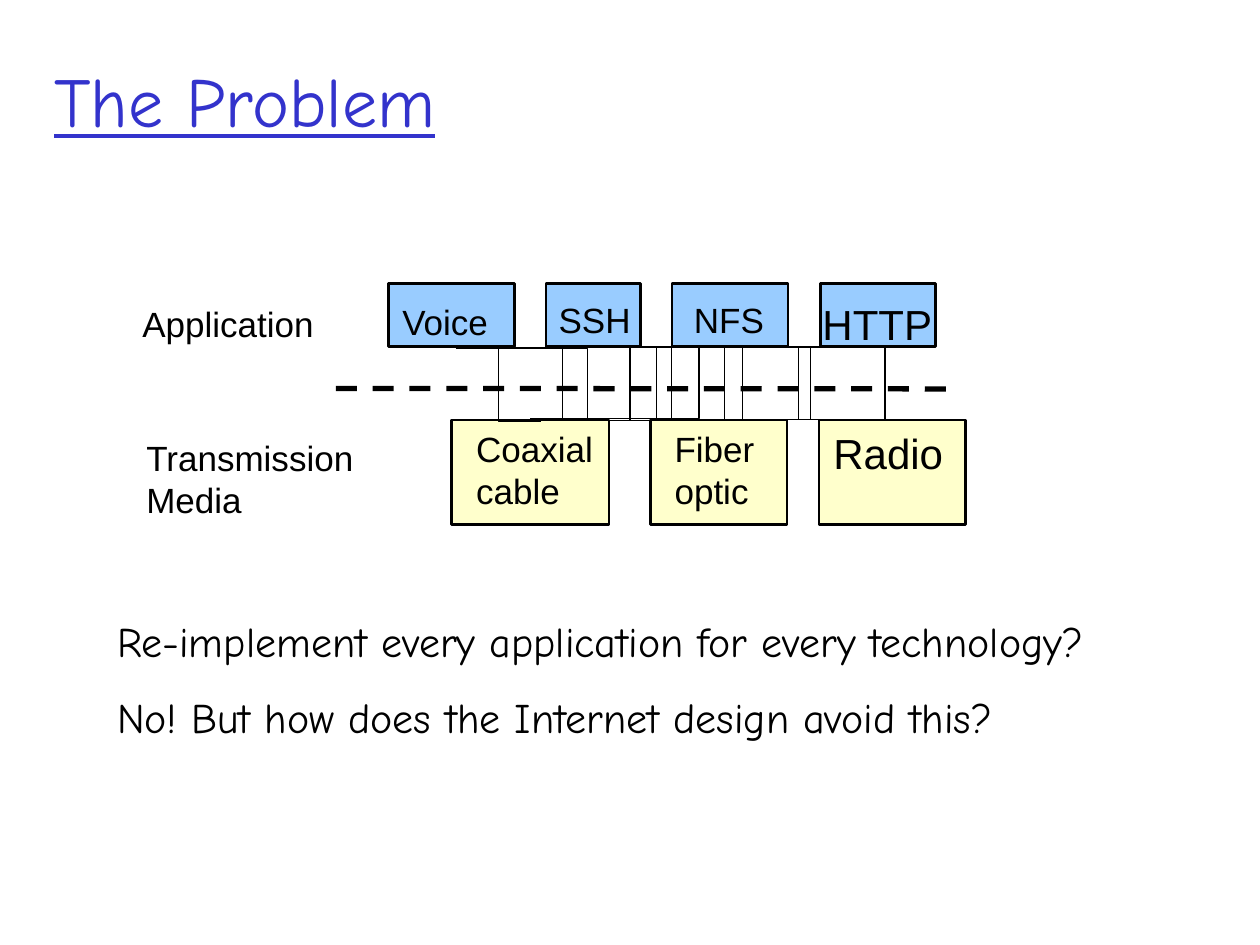
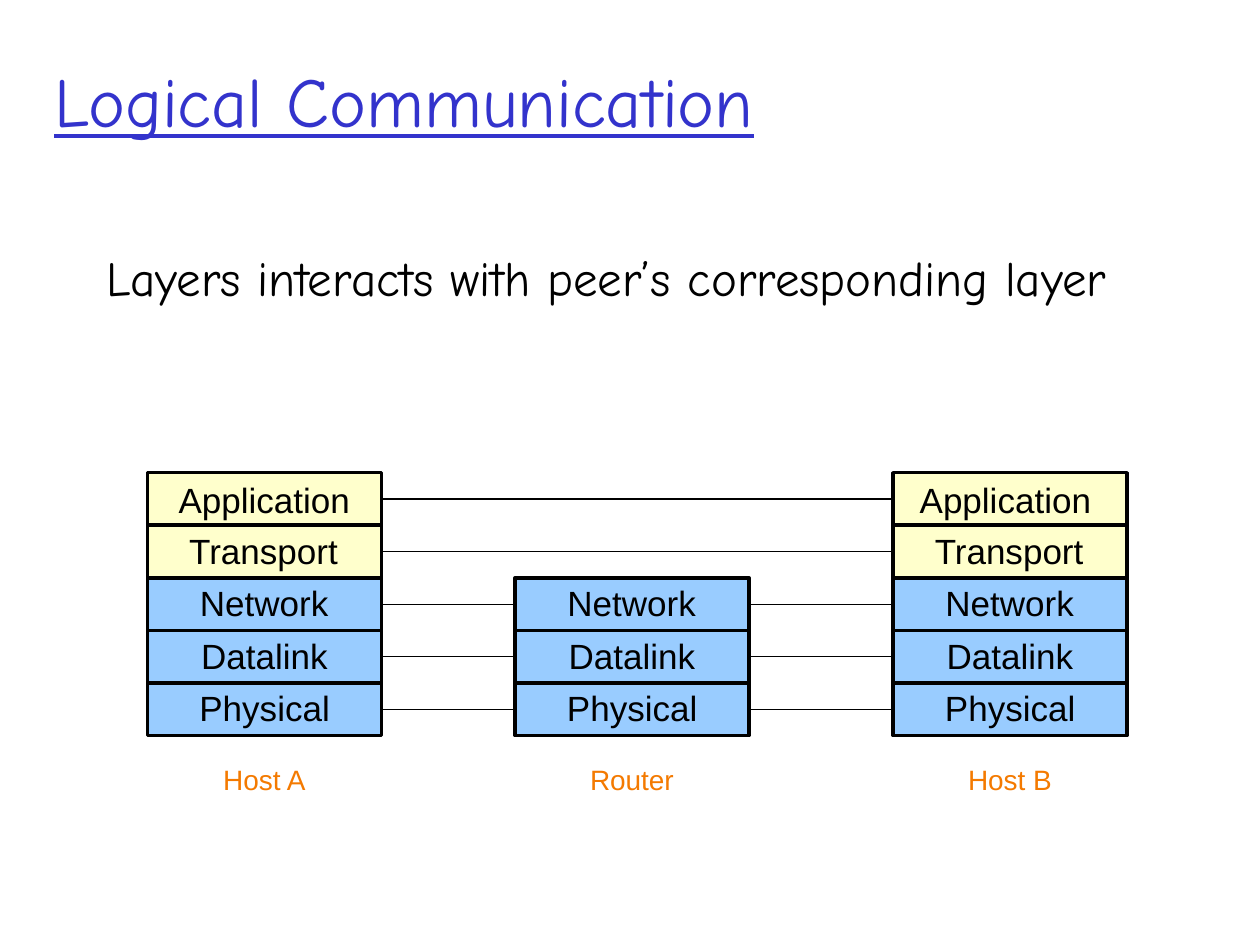
from itertools import pairwise

from lxml import etree
from pptx import Presentation
from pptx.dml.color import RGBColor
from pptx.enum import dml, shapes, text
from pptx.oxml import ns
from pptx.util import Cm, Pt

BLACK = RGBColor(0x00, 0x00, 0x00)
TITLE_BLUE = RGBColor(0x33, 0x33, 0xCC)
SKY = RGBColor(0x99, 0xCC, 0xFF)
CREAM = RGBColor(0xFF, 0xFF, 0xCC)
ORANGE = RGBColor(0xF4, 0x7A, 0x00)
HAND_FONT = "Comic Neue"
LABEL_FONT = "Arial"

QUESTIONS = [
    "Re-implement every application for every technology?",
    "No! But how does the Internet design avoid this?",
]
APP_TOP, APP_HEIGHT = 5.72, 1.27
MEDIA_TOP, MEDIA_HEIGHT = 8.47, 2.11
# name, box left, box width, text left, text top, text width, size
APPLICATIONS = [
    (["Voice"], 7.83, 2.54, 7.86, 5.93, 2.67, 20),
    (["SSH"], 11.01, 1.9, 11.01, 5.89, 2.1, 20),
    (["NFS"], 13.55, 2.34, 13.74, 5.89, 2.1, 20),
    (["HTTP"], 16.54, 2.32, 16.33, 5.89, 2.8, 24),
]
MEDIA = [
    (["Coaxial", "cable"], 9.1, 3.18, 9.35, 8.5, 3.15, 20),
    (["Fiber", "optic"], 13.12, 2.75, 13.35, 8.5, 2.2, 20),
    (["Radio"], 16.51, 2.95, 16.55, 8.5, 2.8, 24),
]
ROW_LABELS = [
    (["Application"], 2.62, 5.97, 4.05),
    (["Transmission", "Media"], 2.7, 8.68, 4.8),
]
WIRES = [
    (9.19, 7.03, 10.9, 8.5),
    (9.19, 7.03, 14.5, 8.48),
    (9.09, 7.01, 17.98, 8.46),
    (11.99, 6.99, 10.69, 8.48),
    (11.96, 6.99, 14.5, 8.48),
    (11.96, 7.01, 17.98, 8.46),
    (14.71, 6.99, 10.69, 8.48),
    (14.71, 6.99, 14.5, 8.48),
    (14.71, 7.01, 17.98, 8.46),
    (17.5, 6.99, 10.69, 8.44),
    (17.7, 7.01, 14.5, 8.46),
    (17.7, 7.01, 17.98, 8.46),
]

PEER_LINE = "Layers interacts with peer’s corresponding layer"
LAYERS = [
    ("Application", CREAM, 3.96),
    ("Transport", CREAM, 3.53),
    ("Network", SKY, 3.1),
    ("Datalink", SKY, 3.05),
    ("Physical", SKY, 3.12),
]
NODES = [
    ("Host A", 2.97, 0, 0),
    ("Router", 10.38, 2, 0),
    ("Host B", 18, 0, -0.09),
]
STACK_TOP, LAYER_HEIGHT, NODE_WIDTH = 9.53, 1.06, 4.72
TEXT_SLACK = 0.15
NAME_WIDTH = 2.6
TEXT_HEIGHTS = {16: 0.91, 20: 1.12, 24: 1.27}


def write(frame, lines, font, size, color, align=text.PP_ALIGN.LEFT, gap=0, underline=None):
    for index, line in enumerate(lines):
        para = frame.paragraphs[0] if index == 0 else frame.add_paragraph()
        para.alignment = align
        if index:
            para.space_before = Pt(gap)
        span = para.add_run()
        span.text = line
        span.font.name = font
        span.font.size = Pt(size)
        span.font.color.rgb = color
        span.font.underline = underline


def add_page(deck, title):
    page = deck.slides.add_slide(deck.slide_layouts[5])
    box = page.shapes.title
    box.left, box.top, box.width, box.height = Cm(0.84), Cm(1.02), Cm(22.4), Cm(1.96)
    frame = box.text_frame
    frame.vertical_anchor = text.MSO_ANCHOR.MIDDLE
    frame.auto_size = text.MSO_AUTO_SIZE.NONE
    write(frame, [title], HAND_FONT, 40, TITLE_BLUE, underline=True)
    return page


def add_body(page, lines, left, top, width, height, size, gap=0):
    box = page.shapes.add_textbox(Cm(left), Cm(top), Cm(width), Cm(height))
    box.text_frame.word_wrap = True
    write(box.text_frame, lines, HAND_FONT, size, BLACK, gap=gap)


def add_label(page, lines, left, top, width, size=20, color=BLACK, align=text.PP_ALIGN.LEFT):
    height = TEXT_HEIGHTS[size] + 0.84 * (len(lines) - 1)
    box = page.shapes.add_textbox(Cm(left), Cm(top), Cm(width), Cm(height))
    box.text_frame.word_wrap = False
    box.text_frame.auto_size = text.MSO_AUTO_SIZE.SHAPE_TO_FIT_TEXT
    write(box.text_frame, lines, LABEL_FONT, size, color, align)


def add_block(page, left, top, width, height, fill, line_width):
    block = page.shapes.add_shape(
        shapes.MSO_SHAPE.RECTANGLE, Cm(left), Cm(top), Cm(width), Cm(height))
    block.shadow.inherit = False
    block.fill.solid()
    block.fill.fore_color.rgb = fill
    block.line.color.rgb = BLACK
    block.line.width = Pt(line_width)


def add_wire(page, x1, y1, x2, y2, kind=shapes.MSO_CONNECTOR.ELBOW, width=0.75):
    wire = page.shapes.add_connector(kind, Cm(x1), Cm(y1), Cm(x2), Cm(y2))
    wire.line.color.rgb = BLACK
    wire.line.width = Pt(width)
    etree.SubElement(wire._element.spPr, ns.qn("a:effectLst"))
    return wire


def build_problem(deck):
    page = add_page(deck, "The Problem")
    add_body(page, QUESTIONS, 2.11, 12.28, 22.02, 4.83, 24, gap=15)
    rows = [(APPLICATIONS, APP_TOP, APP_HEIGHT, SKY), (MEDIA, MEDIA_TOP, MEDIA_HEIGHT, CREAM)]
    for items, top, height, fill in rows:
        for lines, left, width, text_left, text_top, text_width, size in items:
            add_block(page, left, top, width, height, fill, 1.5)
            add_label(page, lines, text_left, text_top, text_width, size)
    border = add_wire(page, 6.77, 7.83, 19.25, 7.84, shapes.MSO_CONNECTOR.STRAIGHT, 3)
    border.line.dash_style = dml.MSO_LINE.DASH
    for label in ROW_LABELS:
        add_label(page, *label)
    for wire in WIRES:
        add_wire(page, *wire)


def build_communication(deck):
    page = add_page(deck, "Logical Communication")
    add_body(page, [PEER_LINE], 1.9, 4.87, 22.43, 2.11, 28)
    for index, (layer, fill, text_width) in enumerate(LAYERS):
        top = STACK_TOP + index * LAYER_HEIGHT
        members = [node for node in NODES if node[2] <= index]
        for _, left, _, nudge in members:
            add_block(page, left, top, NODE_WIDTH, LAYER_HEIGHT, fill, 2)
            text_left = left + (NODE_WIDTH - text_width) / 2
            text_top = top - 0.05
            if index == 0:
                text_left, text_top = text_left + nudge, top
            add_label(page, [layer], text_left, text_top, text_width + TEXT_SLACK)
        middle = top + LAYER_HEIGHT / 2
        for near, far in pairwise(members):
            add_wire(page, near[1] + NODE_WIDTH, middle, far[1], middle)
    for name, left, _, _ in NODES:
        add_label(page, [name], left + (NODE_WIDTH - NAME_WIDTH) / 2, 15.24, NAME_WIDTH, 16,
                  ORANGE, text.PP_ALIGN.CENTER)


def main():
    deck = Presentation()
    deck.slide_width, deck.slide_height = Cm(25.4), Cm(19.05)
    build_problem(deck)
    build_communication(deck)
    deck.save("out.pptx")


if __name__ == "__main__":
    main()
